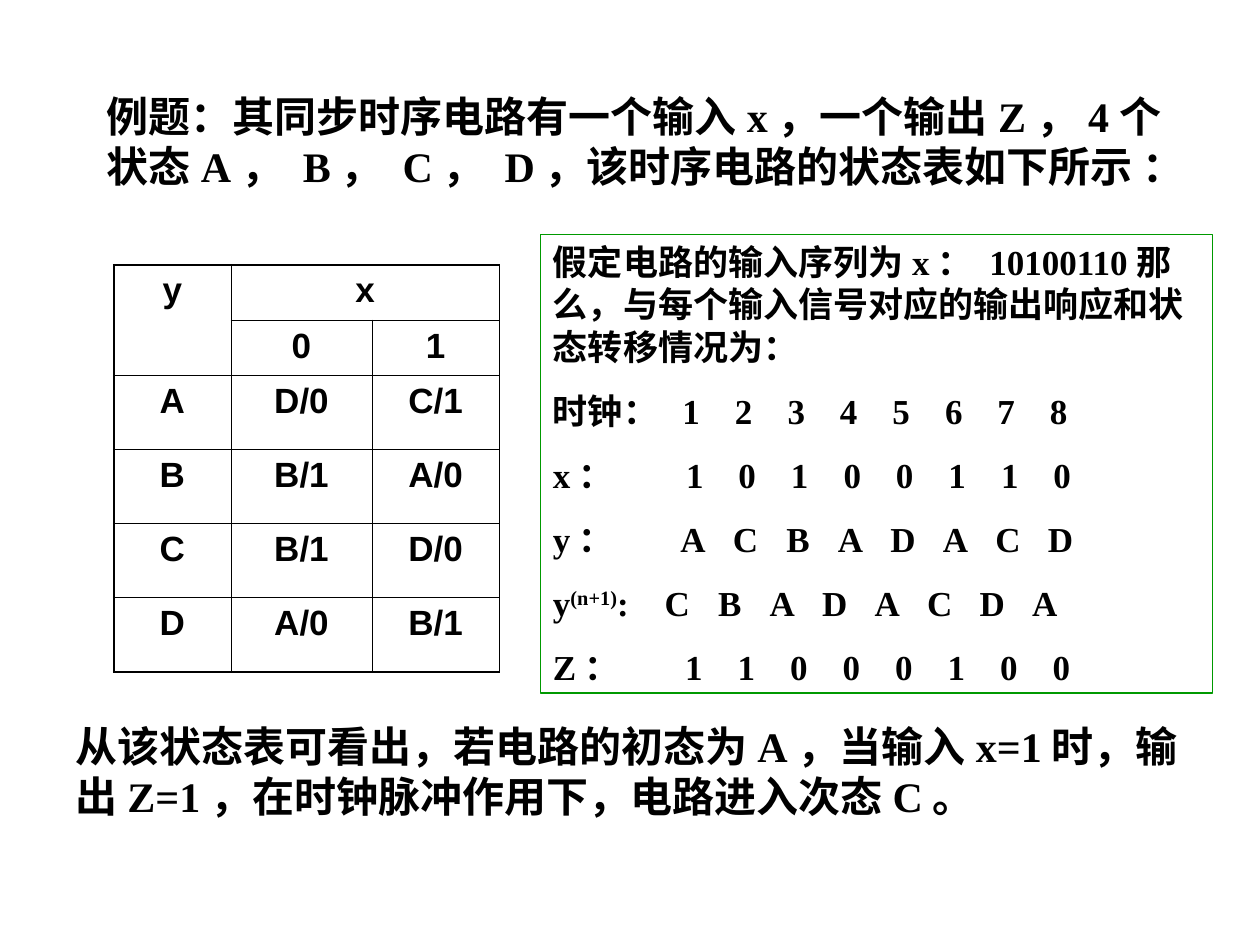
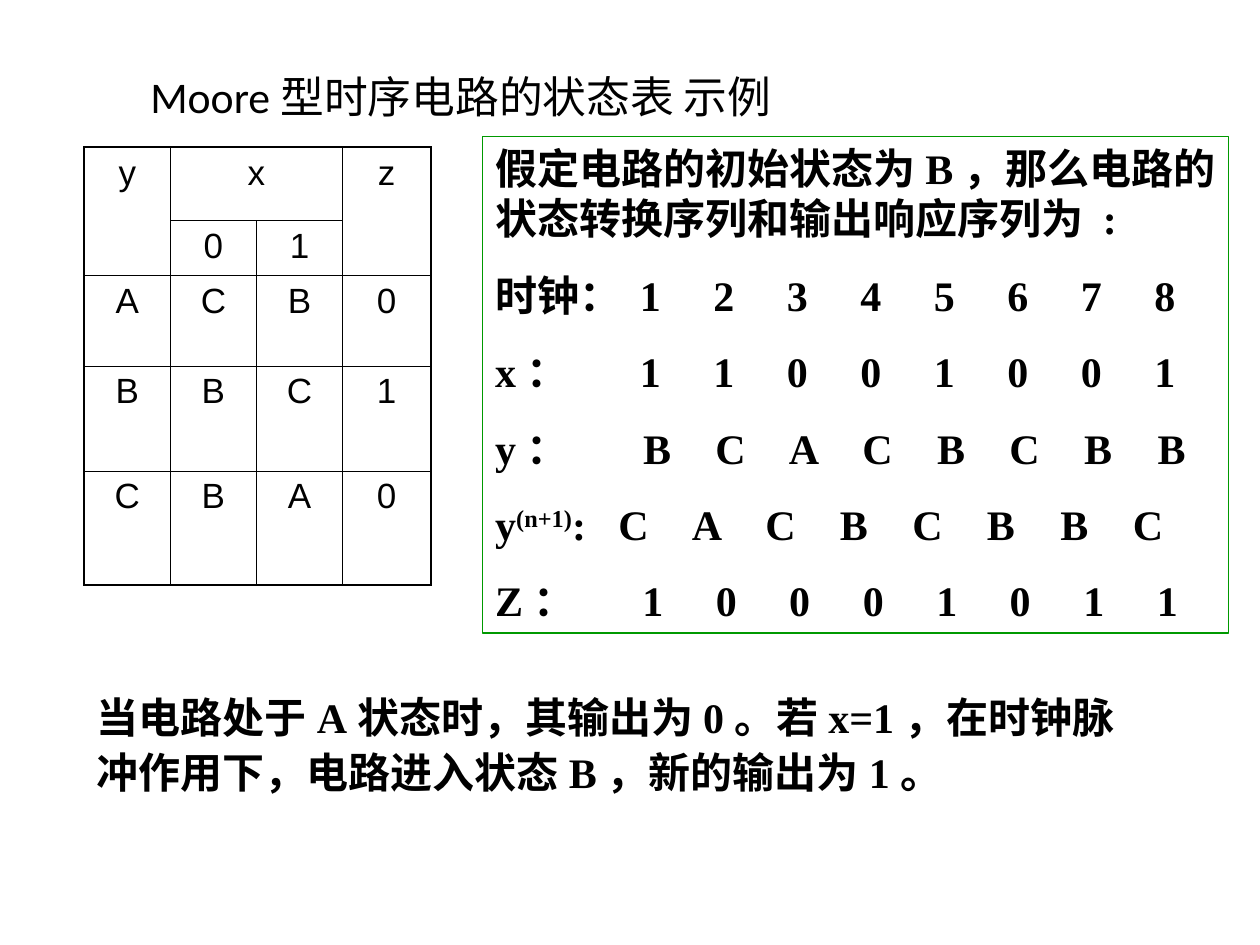
from dataclasses import dataclass
from itertools import groupby

from lxml.etree import SubElement
from pptx import Presentation
from pptx.dml.color import RGBColor
from pptx.enum.shapes import MSO_SHAPE
from pptx.enum.text import MSO_ANCHOR, PP_ALIGN
from pptx.oxml.ns import qn
from pptx.util import Pt

COLORS = {"ink": "000000", "panel": "009900"}
SERIF, SANS, TITLE_FONT, HAN = "Times New Roman", "Arial", "Calibri", "Noto Sans CJK SC"
OUTER_LINE, INNER_LINE = 1.08, 0.45


@dataclass(frozen=True)
class Area:
    left: float
    top: float
    width: float
    height: float

    def points(self) -> tuple:
        return tuple(Pt(n) for n in (self.left, self.top, self.width, self.height))


@dataclass(frozen=True)
class Style:
    size: float
    bold: bool = True
    latin: str = SERIF
    han: str = HAN


@dataclass(frozen=True)
class Signal:
    """One labelled row of a sequence; first is the centre of its first value."""
    label: str
    values: str
    first: float
    raised: str = ""
    ending: str = ""


@dataclass(frozen=True)
class Panel:
    area: Area
    style: Style
    intro: str
    line: float
    gap: float
    pitch: float
    signals: tuple


@dataclass(frozen=True)
class StateTable:
    area: Area
    columns: tuple
    heights: tuple
    rows: tuple
    merges: tuple
    style: Style


def color(name: str) -> RGBColor:
    return RGBColor.from_string(COLORS[name])


def add_spans(para, text: str, style: Style, raised: bool = False) -> None:
    """Add runs, changing font where Latin and Chinese text meet."""
    for ascii_part, letters in groupby(text, str.isascii):
        span = para.add_run()
        span.text = "".join(letters)
        font = span.font
        font.size, font.bold = Pt(style.size), style.bold
        font.name = style.latin if ascii_part else style.han
        font.color.rgb = color("ink")
        properties = span.font._element
        SubElement(properties, qn("a:ea"), typeface=HAN)
        if raised:
            properties.set("baseline", "30000")


def prepare_frame(box, anchor=MSO_ANCHOR.TOP):
    frame = box.text_frame
    frame.word_wrap = True
    frame.vertical_anchor = anchor
    return frame


def add_text(page, area: Area, text: str, style: Style, line: float) -> None:
    para = prepare_frame(page.shapes.add_textbox(*area.points())).paragraphs[0]
    para.line_spacing = Pt(line)
    add_spans(para, text, style)


def add_title(page, area: Area, text: str) -> None:
    box = page.shapes.add_textbox(*area.points())
    para = prepare_frame(box, MSO_ANCHOR.MIDDLE).paragraphs[0]
    para.alignment = PP_ALIGN.CENTER
    add_spans(para, text, Style(25, False, TITLE_FONT, TITLE_FONT))


def add_panel(page, panel: Panel) -> None:
    box = page.shapes.add_shape(MSO_SHAPE.RECTANGLE, *panel.area.points())
    box.shadow.inherit = False
    box.fill.background()
    box.line.color.rgb = color("panel")
    box.line.width = Pt(0.75)
    frame = prepare_frame(box)

    intro = frame.paragraphs[0]
    intro.alignment = PP_ALIGN.LEFT
    intro.line_spacing = Pt(panel.line)
    add_spans(intro, panel.intro, panel.style)

    # Signal values stand on evenly spaced centre tabs
    for signal in panel.signals:
        para = frame.add_paragraph()
        para.alignment = PP_ALIGN.LEFT
        para.line_spacing = Pt(panel.line)
        para.space_before = Pt(panel.gap)
        stops = SubElement(para._p.get_or_add_pPr(), qn("a:tabLst"))
        for index in range(len(signal.values)):
            position = Pt(signal.first + index * panel.pitch)
            SubElement(stops, qn("a:tab"), pos=str(int(position)), algn="ctr")
        add_spans(para, signal.label, panel.style)
        add_spans(para, signal.raised, panel.style, raised=True)
        add_spans(para, signal.ending, panel.style)
        for value in signal.values:
            add_spans(para, "\t" + value, panel.style)


def add_border(cell, side: str, outer: bool) -> None:
    width = Pt(OUTER_LINE if outer else INNER_LINE)
    edge = SubElement(cell._tc.get_or_add_tcPr(), qn(f"a:ln{side}"), w=str(int(width)))
    fill = SubElement(edge, qn("a:solidFill"))
    SubElement(fill, qn("a:srgbClr"), val=COLORS["ink"])


def add_state_table(page, data: StateTable) -> None:
    row_count, column_count = len(data.heights), len(data.columns)
    frame = page.shapes.add_table(row_count, column_count, *data.area.points())
    table = frame.table
    table.first_row = table.horz_banding = False
    for column, width in zip(table.columns, data.columns):
        column.width = Pt(width)
    for row, height in zip(table.rows, data.heights):
        row.height = Pt(height)
    for top, left, bottom, right in data.merges:
        table.cell(top, left).merge(table.cell(bottom, right))

    for r, texts in enumerate(data.rows):
        for c, text in enumerate(texts):
            cell = table.cell(r, c)
            add_border(cell, "L", c == 0)
            add_border(cell, "R", c + cell.span_width == column_count)
            add_border(cell, "T", r == 0)
            add_border(cell, "B", r + cell.span_height == row_count)
            cell.fill.background()
            if text:
                para = cell.text_frame.paragraphs[0]
                para.alignment = PP_ALIGN.CENTER
                add_spans(para, text, data.style)


BODY = Style(24)
BODY_LINE = 28.7

# Mealy example
MEALY_TABLE = StateTable(
    Area(65, 151.3, 220.4, 232.6), (67, 80.6, 72.8), (31.6, 31.6) + (42.35,) * 4,
    (("y", "x", ""), ("", "0", "1"), ("A", "D/0", "C/1"),
     ("B", "B/1", "A/0"), ("C", "B/1", "D/0"), ("D", "A/0", "B/1")),
    ((0, 0, 1, 0), (0, 1, 0, 2)), Style(20, latin=SANS))
MEALY_PANEL = Panel(
    Area(308.9, 134, 384, 262), Style(20, han=SERIF),
    "假定电路的输入序列为x： 10100110那么，与每个输入信号对应的输出响应和状态转移情况为：",
    24.07, 12.5, 30,
    (Signal("时钟：", "12345678", 79), Signal("x：", "10100110", 81),
     Signal("y：", "ACBADACD", 80), Signal("y", "CBADACDA", 71, "(n+1)", ":"),
     Signal("Z：", "11000100", 80.5)))

# Moore example
MOORE_TABLE = StateTable(
    Area(48.2, 84.2, 198, 250), (49.2, 49.2, 49.2, 50.4), (41.8, 31.6, 51.6, 60, 65),
    (("y", "x", "", "z"), ("", "0", "1", ""), ("A", "C", "B", "0"),
     ("B", "B", "C", "1"), ("C", "B", "A", "0")),
    ((0, 0, 1, 0), (0, 1, 0, 2), (0, 3, 1, 3)), Style(20, False, SANS))
MOORE_PANEL = Panel(
    Area(275.9, 78, 426.2, 283.7), BODY,
    "假定电路的初始状态为B，那么电路的状态转换序列和输出响应序列为 :",
    BODY_LINE, 15, 42,
    (Signal("时钟：", "12345678", 88.6), Signal("x：", "11001001", 88.6),
     Signal("y：", "BCACBCBB", 92.5), Signal("y", "CACBCBBC", 79, "(n+1)", ":"),
     Signal("Z：", "10001011", 90)))


def main() -> None:
    deck = Presentation()
    deck.slide_width, deck.slide_height = Pt(720), Pt(540)
    mealy, moore = (deck.slides.add_slide(deck.slide_layouts[6]) for _ in range(2))

    add_text(mealy, Area(54, 48.2, 629.3, 93.3),
             "例题：其同步时序电路有一个输入x，一个输出Z，4个状态A， B， C， D，"
             "该时序电路的状态表如下所示 ：", BODY, BODY_LINE)
    add_state_table(mealy, MEALY_TABLE)
    add_text(mealy, Area(36, 408.2, 666, 64.8),
             "从该状态表可看出，若电路的初态为A，当输入x=1时，输出Z=1，"
             "在时钟脉冲作用下，电路进入次态C。", BODY, BODY_LINE)
    add_panel(mealy, MEALY_PANEL)

    add_state_table(moore, MOORE_TABLE)
    add_title(moore, Area(41.8, 37.4, 442.8, 34.6), "Moore型时序电路的状态表 示例")
    add_text(moore, Area(48.2, 388.8, 596.2, 70.6),
             "当电路处于A状态时，其输出为0。若x=1，在时钟脉冲作用下，"
             "电路进入状态B，新的输出为1。", BODY, BODY_LINE * 1.1)
    add_panel(moore, MOORE_PANEL)
    deck.save("out.pptx")


if __name__ == "__main__":
    main()
